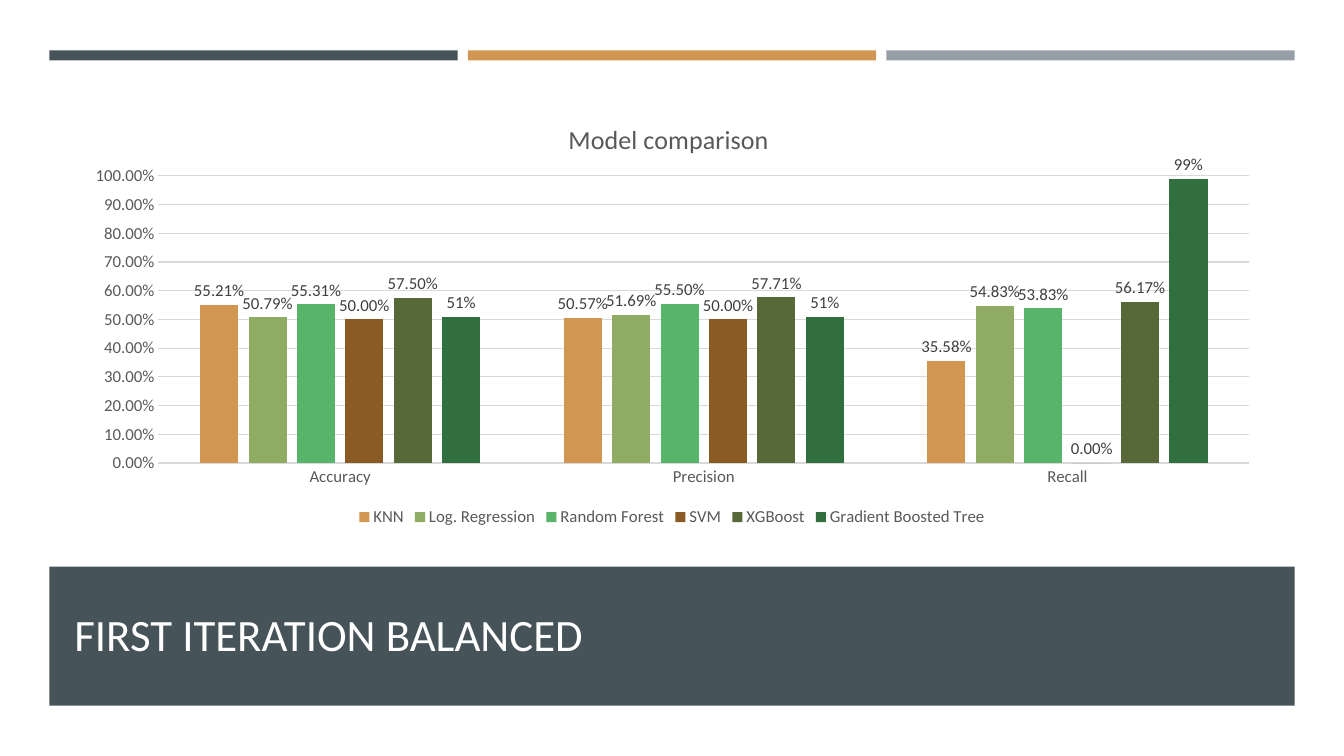
from lxml.etree import SubElement
from pptx import Presentation
from pptx.chart.data import CategoryChartData
from pptx.dml.color import RGBColor
from pptx.enum.chart import XL_CHART_TYPE as ChartType
from pptx.enum.chart import XL_LABEL_POSITION as LabelPosition
from pptx.enum.chart import XL_LEGEND_POSITION as LegendPosition
from pptx.enum.chart import XL_TICK_MARK as TickMark
from pptx.enum.shapes import MSO_SHAPE as Shape
from pptx.enum.text import MSO_ANCHOR as Anchor
from pptx.oxml.ns import qn
from pptx.util import Inches, Pt

SLATE = RGBColor(0x46, 0x53, 0x59)
ORANGE = RGBColor(0xD1, 0x96, 0x51)
GREY = RGBColor(0x96, 0x9F, 0xA7)
OFF_WHITE = RGBColor(0xFF, 0xFE, 0xFF)
AXIS_TEXT = RGBColor(0x59, 0x59, 0x59)
LABEL_TEXT = RGBColor(0x40, 0x40, 0x40)
GRID_LINE = RGBColor(0xD9, 0xD9, 0xD9)
FONT = "Calibri"

MARGIN, CONTENT_WIDTH = 0.49, 12.35
STRIP_GAP = 0.1
STRIP_WIDTH = (CONTENT_WIDTH - 2 * STRIP_GAP) / 3

METRICS = ["Accuracy", "Precision", "Recall"]
MODELS = [
    ("KNN", [0.5521, 0.5057, 0.3558], ORANGE, "0.00%"),
    ("Log. Regression", [0.5079, 0.5169, 0.5483], RGBColor(0x90, 0xAB, 0x63), "0.00%"),
    ("Random Forest", [0.5531, 0.555, 0.5383], RGBColor(0x58, 0xB4, 0x6B), "0.00%"),
    ("SVM", [0.5, 0.5, 0], RGBColor(0x8A, 0x5B, 0x24), "0.00%"),
    ("XGBoost", [0.575, 0.5771, 0.5617], RGBColor(0x57, 0x69, 0x39), "0.00%"),
    ("Gradient Boosted Tree", [0.51, 0.51, 0.99], RGBColor(0x32, 0x6F, 0x3E), "0%"),
]


def style_font(font, size, color):
    font.name = FONT
    font.size = Pt(size)
    font.bold = False
    font.color.rgb = color


def place_in_chart(element, index, **shares):
    """Give a chart part a fixed layout, in shares of the chart's size."""
    for old in element.findall(qn("c:layout")):
        element.remove(old)
    layout = SubElement(element, qn("c:layout"))
    element.insert(index, layout)
    manual = SubElement(layout, qn("c:manualLayout"))
    if "w" in shares:
        SubElement(manual, qn("c:layoutTarget")).set("val", "inner")
    for side in ("x", "y"):
        SubElement(manual, qn(f"c:{side}Mode")).set("val", "edge")
    for side, share in shares.items():
        SubElement(manual, qn(f"c:{side}")).set("val", str(share))


deck = Presentation()
deck.slide_width, deck.slide_height = Inches(13.33), Inches(7.5)
page = deck.slides.add_slide(deck.slide_layouts[6])

# Title band and the three strips along the top
bands = [(MARGIN, 5.62, CONTENT_WIDTH, 1.38, SLATE)]
for column, color in enumerate((SLATE, ORANGE, GREY)):
    left = MARGIN + column * (STRIP_WIDTH + STRIP_GAP)
    bands.append((left, 0.5, STRIP_WIDTH, 0.1, color))
for left, top, width, height, color in bands:
    band = page.shapes.add_shape(
        Shape.RECTANGLE, Inches(left), Inches(top), Inches(width), Inches(height))
    band.shadow.inherit = False
    band.fill.solid()
    band.fill.fore_color.rgb = color
    band.line.fill.background()

box = page.shapes.add_textbox(Inches(0.64), Inches(5.76), Inches(11.9), Inches(1.05))
box.text_frame.word_wrap = True
box.text_frame.vertical_anchor = Anchor.MIDDLE
span = box.text_frame.paragraphs[0].add_run()
span.text = "FIRST ITERATION BALANCED"
style_font(span.font, 32, OFF_WHITE)

# Model comparison chart
data = CategoryChartData(number_format="0.00%")
data.categories = METRICS
for name, scores, color, number_format in MODELS:
    data.add_series(name, scores, number_format)
chart = page.shapes.add_chart(
    ChartType.COLUMN_CLUSTERED, Inches(0.7), Inches(0.94),
    Inches(11.93), Inches(4.33), data).chart
style_font(chart.font, 12, AXIS_TEXT)

chart.has_title = True
heading = chart.chart_title
span = heading.text_frame.paragraphs[0].add_run()
span.text = "Model comparison"
style_font(span.font, 18.6, AXIS_TEXT)
heading.include_in_layout = False
place_in_chart(heading.element, 1, x=0.41, y=0.05)
plot_area = chart.element.find(".//" + qn("c:plotArea"))
place_in_chart(plot_area, 0, x=0.073, y=0.186, w=0.907, h=0.658)

chart.has_legend = True
chart.legend.position = LegendPosition.BOTTOM
chart.legend.include_in_layout = False
style_font(chart.legend.font, 12, AXIS_TEXT)

for axis in (chart.category_axis, chart.value_axis):
    axis.major_tick_mark = axis.minor_tick_mark = TickMark.NONE
    style_font(axis.tick_labels.font, 12, AXIS_TEXT)
scale = chart.value_axis
scale.minimum_scale, scale.maximum_scale, scale.major_unit = 0, 1, 0.1
scale.tick_labels.number_format = "0.00%"
scale.tick_labels.number_format_is_linked = False
scale.format.line.fill.background()
for line in (chart.category_axis.format.line, scale.major_gridlines.format.line):
    line.color.rgb = GRID_LINE
    line.width = Pt(0.75)

plot = chart.plots[0]
plot.gap_width, plot.overlap = 219, -27
plot.vary_by_categories = False
for series, (name, scores, color, number_format) in zip(plot.series, MODELS):
    series.format.fill.solid()
    series.format.fill.fore_color.rgb = color
    series.invert_if_negative = False
    labels = series.data_labels
    labels.show_value = True
    labels.position = LabelPosition.OUTSIDE_END
    labels.number_format = number_format
    labels.number_format_is_linked = False
    style_font(labels.font, 12, LABEL_TEXT)

deck.save("out.pptx")
